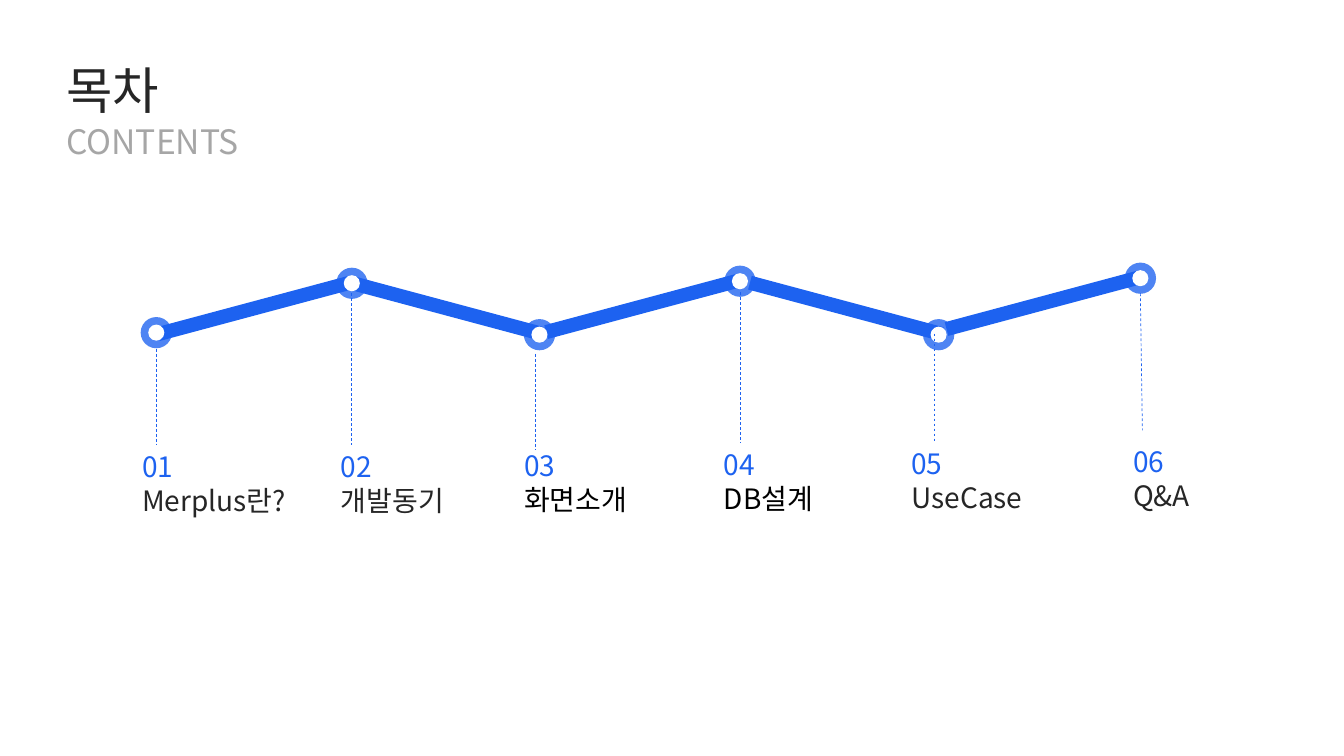
from dataclasses import dataclass

from lxml import etree
from pptx import Presentation, util as u
from pptx.dml.color import RGBColor
from pptx.enum import dml, shapes, text
from pptx.oxml.ns import qn


@dataclass(frozen=True)
class Theme:
    font: str = "Noto Sans CJK KR"
    blue: str = "1D62F0"
    dark: str = "262626"
    black: str = "000000"
    grey: str = "A6A6A6"
    white: str = "FFFFFF"
    title: int = 36
    subtitle: int = 24
    label: int = 20
    ring_alpha: int = 78


T = Theme()
WIDTH, HEIGHT = u.Inches(13.33), u.Inches(7.5)

# Sizes and places are percentages of the slide's width and height
RING, HOLE, BAR, LABEL = (2.33, 4.13), (1.2, 2.13), (14.78, 1.87), (12.98, 10.27)

# Bar centre measured from its right-hand stop, and rotation
RISE, FALL = (-7.28, 3.33, 345), (-6.9, -3.47, 15)

# Stop: title, title colour, ring centre, label corner, lead line, incoming bar
STOPS = [
    ("Merplus란?", T.dark, (11.63, 44), (9.83, 58.8), (11.63, 46.13, 11.63, 58.8), None),
    ("개발동기", T.dark, (26.18, 37.47), (24.61, 58.8), (26.11, 38.8, 26.11, 58.8), RISE),
    ("화면소개", T.black, (40.14, 44.27), (38.26, 58.67), (39.83, 46.8, 39.83, 59.47), FALL),
    ("DB설계", T.black, (55.06, 37.2), (53.11, 58.53), (55.06, 38.67, 55.06, 58.53), RISE),
    ("UseCase", T.dark, (69.84, 44.27), (67.07, 58.4), (69.54, 44.13, 69.54, 58.4), FALL),
    ("Q&A", T.dark, (84.85, 36.8), (83.57, 58.13), (84.85, 38.8, 85, 56.93), RISE),
]
STACKING = (3, 2, 1, 0, 4, 5)  # back to front


def px(share):
    return int(WIDTH * share / 100)


def py(share):
    return int(HEIGHT * share / 100)


def add_text(s, corner, size, lines):
    """Each line is (wording, type size, colour) and becomes a paragraph."""
    sp = s.shapes.add_textbox(px(corner[0]), py(corner[1]), px(size[0]), py(size[1]))
    tf = sp.text_frame
    tf.word_wrap = True
    tf.vertical_anchor = text.MSO_ANCHOR.TOP
    for i, (words, points, color) in enumerate(lines):
        p = tf.add_paragraph() if i else tf.paragraphs[0]
        r = p.add_run()
        r.text = words
        r.font.size = u.Pt(points)
        r.font.name = T.font
        r.font.color.rgb = RGBColor.from_string(color)
        etree.SubElement(r.font._element, qn("a:ea"), typeface=T.font)


def add_centred(s, kind, centre, size, color, rotation=0, alpha=None):
    w, h = px(size[0]), py(size[1])
    sp = s.shapes.add_shape(kind, px(centre[0]) - w // 2, py(centre[1]) - h // 2, w, h)
    sp.rotation = rotation
    sp.shadow.inherit = False
    sp.fill.solid()
    sp.fill.fore_color.rgb = RGBColor.from_string(color)
    sp.line.fill.background()
    if alpha:
        clr = sp._element.spPr.find(qn("a:solidFill")).find(qn("a:srgbClr"))
        etree.SubElement(clr, qn("a:alpha"), val=str(alpha * 1000))


def add_lead(s, x1, y1, x2, y2):
    line = s.shapes.add_connector(
        shapes.MSO_CONNECTOR.STRAIGHT, px(x1), py(y1), px(x2), py(y2))
    line.line.color.rgb = RGBColor.from_string(T.blue)
    line.line.width = u.Pt(0.5)
    line.line.dash_style = dml.MSO_LINE.DASH
    etree.SubElement(line._element.spPr, qn("a:effectLst"))


def add_stop(s, centre, bar):
    if bar:
        dx, dy, rotation = bar
        add_centred(s, shapes.MSO_SHAPE.RECTANGLE,
                    (centre[0] + dx, centre[1] + dy), BAR, T.blue, rotation)
    add_centred(s, shapes.MSO_SHAPE.OVAL, centre, RING, T.blue, alpha=T.ring_alpha)
    add_centred(s, shapes.MSO_SHAPE.OVAL, centre, HOLE, T.white)


def main():
    prs = Presentation()
    prs.slide_width, prs.slide_height = WIDTH, HEIGHT
    s = prs.slides.add_slide(prs.slide_layouts[6])

    # Heading
    add_text(s, (4.2, 7.2), (56.71, 9.47), [("목차", T.title, T.dark)])
    add_text(s, (4.2, 15.33), (56.71, 6.67), [("CONTENTS", T.subtitle, T.grey)])

    # Zigzag path
    for i in STACKING:
        _, _, centre, _, _, bar = STOPS[i]
        add_stop(s, centre, bar)

    # Lead lines and labels
    for number, (title, color, _, corner, lead, _) in enumerate(STOPS, 1):
        add_lead(s, *lead)
        add_text(s, corner, LABEL,
                 [(f"{number:02}", T.label, T.blue), (title, T.label, color)])

    prs.save("out.pptx")


if __name__ == "__main__":
    main()
